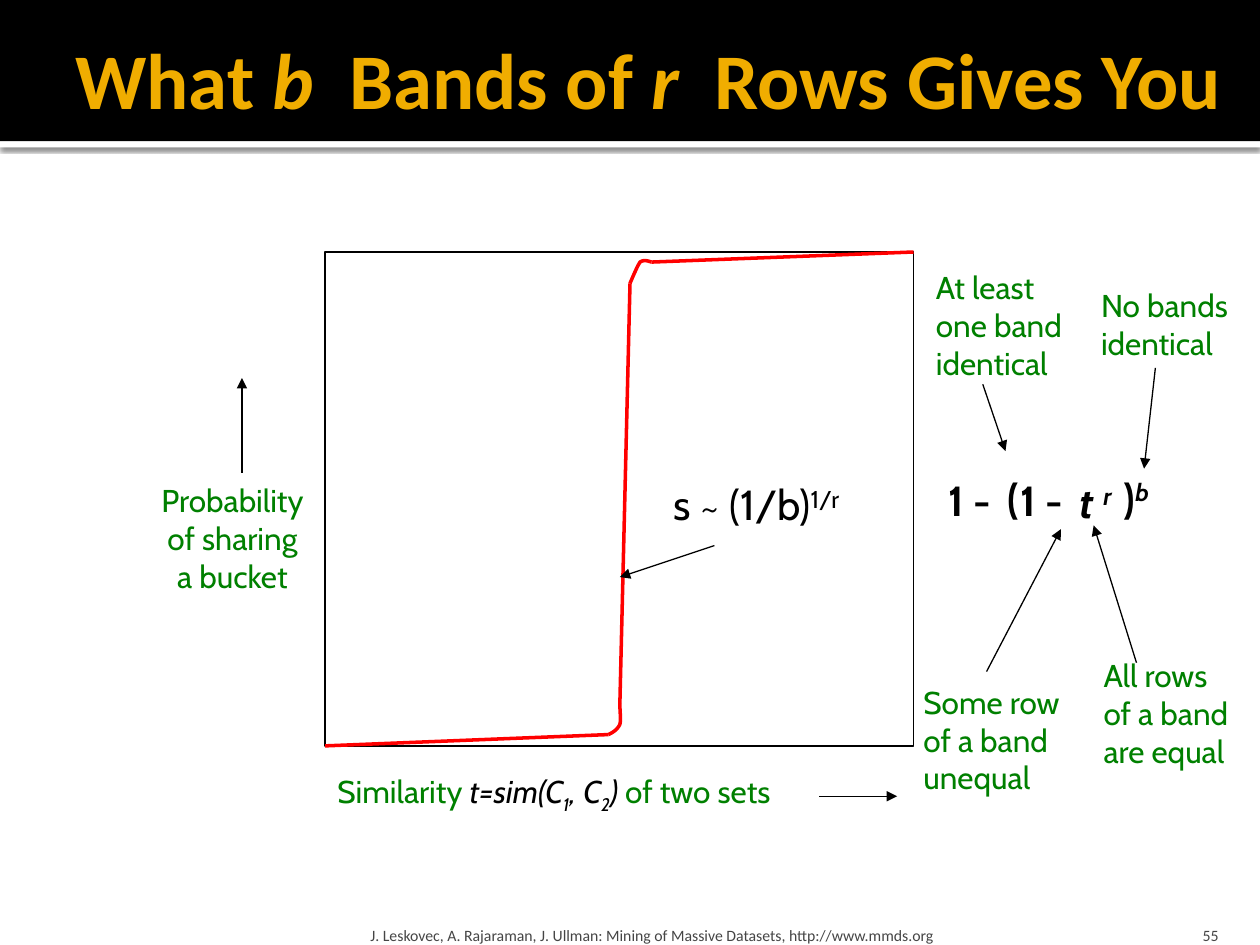
from dataclasses import dataclass, field

from lxml import etree
from pptx import Presentation
from pptx.dml.color import RGBColor
from pptx.enum.shapes import MSO_CONNECTOR, MSO_SHAPE
from pptx.enum.text import MSO_ANCHOR, MSO_AUTO_SIZE, PP_ALIGN
from pptx.oxml import parse_xml
from pptx.oxml.ns import nsdecls, qn
from pptx.util import Inches, Pt

RECTANGLE = MSO_SHAPE.RECTANGLE
STRAIGHT = MSO_CONNECTOR.STRAIGHT
TOP, MIDDLE, BOTTOM = MSO_ANCHOR.TOP, MSO_ANCHOR.MIDDLE, MSO_ANCHOR.BOTTOM
LEFT, CENTER, RIGHT = PP_ALIGN.LEFT, PP_ALIGN.CENTER, PP_ALIGN.RIGHT
FIT_TEXT = MSO_AUTO_SIZE.SHAPE_TO_FIT_TEXT
FIXED = MSO_AUTO_SIZE.NONE
BLACK, WHITE, RED = "000000", "FFFFFF", "FF0000"
GREEN, GOLD, GRAY = "008000", "F0AD00", "454545"

TITLE = {"name": "Calibri", "size": Pt(45), "bold": True, "color": GOLD}
FOOTER = {"name": "Calibri", "size": Pt(9), "color": GRAY}
NOTE = {"name": "Cabin", "size": Pt(18), "color": GREEN}
VARIABLE = NOTE | {"color": BLACK, "italic": True}
THRESHOLD = {"name": "Cabin", "size": Pt(24), "color": BLACK}
FORMULA = THRESHOLD | {"bold": True}
ITALIC = {"italic": True}
SUPER, SUB = {"baseline": 30}, {"baseline": -25}

Point = tuple[float, float]
Run = tuple[str, dict]


@dataclass
class Label:
    box: tuple[float, float, float, float]
    lines: list[list[Run]]
    align: PP_ALIGN = LEFT
    anchor: MSO_ANCHOR = TOP
    wrap: bool = False
    insets: tuple[float, float, float, float] = field(default=(0.1, 0.05, 0.1, 0.05))


def rgb(value: str) -> RGBColor:
    return RGBColor.from_string(value)


def style_run(run, formats: dict) -> None:
    for name, value in formats.items():
        if name == "color":
            run.font.color.rgb = rgb(value)
        elif name == "baseline":
            run.font._element.set("baseline", str(value * 1000))
        else:
            setattr(run.font, name, value)


def draw_label(slide, label: Label) -> None:
    frame = slide.shapes.add_textbox(*map(Inches, label.box)).text_frame
    left, top, right, bottom = map(Inches, label.insets)
    layout = {
        "word_wrap": label.wrap,
        "auto_size": FIXED if label.wrap else FIT_TEXT,
        "vertical_anchor": label.anchor,
        "margin_left": left,
        "margin_top": top,
        "margin_right": right,
        "margin_bottom": bottom,
    }
    for name, value in layout.items():
        setattr(frame, name, value)
    for index, runs in enumerate(label.lines):
        paragraph = frame.add_paragraph() if index else frame.paragraphs[0]
        paragraph.alignment = label.align
        for text, formats in runs:
            run = paragraph.add_run()
            run.text = text
            style_run(run, formats)


def draw_band(slide, top: float, height: float, color: str):
    band = slide.shapes.add_shape(RECTANGLE, *map(Inches, (0, top, 10, height)))
    band.shadow.inherit = False
    band.fill.solid()
    band.fill.fore_color.rgb = rgb(color)
    band.line.fill.background()
    return band


def cast_shadow(band) -> None:
    effects = band._element.spPr.find(qn("a:effectLst"))
    effects.append(parse_xml(
        f'<a:outerShdw {nsdecls("a")} blurRad="{Pt(2.5)}" dist="{Pt(0.8)}" dir="5400000">'
        f'<a:srgbClr val="{BLACK}"><a:alpha val="60000"/></a:srgbClr></a:outerShdw>'))


def outline(shape, color: str, width: float) -> None:
    shape.line.color.rgb = rgb(color)
    shape.line.width = Pt(width)


def draw_line(slide, start: Point, end: Point, color: str, width: float):
    line = slide.shapes.add_connector(STRAIGHT, *map(Inches, start + end))
    outline(line, color, width)
    etree.SubElement(line._element.spPr, qn("a:effectLst"))
    return line


def draw_arrow(slide, start: Point, end: Point) -> None:
    arrow = draw_line(slide, start, end, BLACK, 0.75)
    etree.SubElement(arrow.line._get_or_add_ln(), qn("a:tailEnd"), type="triangle")


def bezier(p0: Point, p1: Point, p2: Point, p3: Point, steps: int = 8) -> list[Point]:
    def at(t: float) -> Point:
        u = 1 - t
        weights = (u**3, 3 * u * u * t, 3 * u * t * t, t**3)
        x, y = (sum(w * c for w, c in zip(weights, axis)) for axis in zip(p0, p1, p2, p3))
        return x, y
    return [at(step / steps) for step in range(1, steps + 1)]


def draw_bend(slide, points: list[Point]) -> None:
    start, *rest = points
    vertices = bezier(*points[:4]) + bezier(*points[3:])
    builder = slide.shapes.build_freeform(Inches(start[0]), Inches(start[1]))
    builder.add_line_segments([(Inches(x), Inches(y)) for x, y in vertices], close=False)
    bend = builder.convert_to_shape()
    bend.shadow.inherit = False
    bend.fill.background()
    outline(bend, RED, 2)


def notes(*lines: str) -> list[list[Run]]:
    return [[(line, NOTE)] for line in lines]


LOWER_BEND = [(4.83, 5.83), (4.87, 5.81), (4.9, 5.79), (4.92, 5.75),
              (4.93, 5.71), (4.92, 5.65), (4.92, 5.58)]
UPPER_BEND = [(5, 2.25), (5.03, 2.18), (5.06, 2.11), (5.08, 2.08),
              (5.11, 2.06), (5.14, 2.07), (5.17, 2.08)]
CURVE_STRETCHES = [((2.58, 5.92), LOWER_BEND[0]), (LOWER_BEND[-1], UPPER_BEND[0]),
                   (UPPER_BEND[-1], (7.25, 2))]
ARROWS = [
    ((9.02, 5.26), (8.68, 4.17)),
    ((7.83, 5.33), (8.42, 4.2)),
    ((9.17, 2.92), (9.08, 3.72)),
    ((7.8, 3.05), (7.98, 3.58)),
    ((5.67, 4.33), (4.92, 4.58)),
    ((6.5, 6.32), (7.12, 6.32)),
    ((1.92, 3.75), (1.92, 3)),
]
LABELS = [
    Label((0.5, 0.08, 9.5, 1.08),
          [[("What ", TITLE), ("b", TITLE | ITALIC), ("  Bands of ", TITLE),
            ("r", TITLE | ITALIC), ("  Rows Gives You", TITLE)]],
          anchor=MIDDLE, wrap=True, insets=(0.1, 0.05, 0.05, 0.05)),
    Label((8.47, 3.73, 0.61, 0.51),
          [[("t ", FORMULA | ITALIC), ("r", FORMULA | ITALIC | SUPER)]]),
    Label((8.66, 5.16, 1.25, 1), notes("All rows", "of a band", "are equal")),
    Label((8, 3.72, 0.66, 0.51), [[("1 -", FORMULA)]]),
    Label((7.23, 5.37, 1.31, 1), notes("Some row", "of a band", "unequal")),
    Label((7.9, 3.7, 0.35, 0.51), [[("(", FORMULA)]]),
    Label((8.82, 3.7, 0.56, 0.51), [[(")", FORMULA), ("b", FORMULA | ITALIC | SUPER)]]),
    Label((8.64, 2.22, 1.24, 0.7), notes("No bands", "identical")),
    Label((7.43, 3.72, 0.66, 0.51), [[("1 -", FORMULA)]]),
    Label((7.33, 2.08, 1.23, 1), notes("At least", "one band", "identical")),
    Label((5.25, 3.75, 1.93, 0.51),
          [[("s ~ (1/b)", THRESHOLD), ("1/r", THRESHOLD | SUPER)]]),
    Label((8.97, 7.2, 0.8, 0.3), [[("55", FOOTER)]], RIGHT, BOTTOM, True,
          (0.1, 0.05, 0.1, 0)),
    Label((2.89, 7.2, 6.02, 0.3),
          [[("J. Leskovec, A. Rajaraman, J. Ullman: Mining of Massive Datasets, "
             "http://www.mmds.org", FOOTER)]],
          LEFT, BOTTOM, True, (0.05, 0.05, 0.05, 0)),
    Label((2.58, 6.08, 4, 0.4),
          [[("Similarity ", NOTE), ("t=sim(C", VARIABLE), ("1", VARIABLE | SUB),
            (", C", VARIABLE), ("2", VARIABLE | SUB), (")", VARIABLE),
            (" of two sets", NOTE)]], wrap=True),
    Label((1.17, 3.77, 1.35, 1), notes("Probability", "of sharing", "a bucket"), CENTER),
]


def main() -> None:
    deck = Presentation()
    deck.slide_width, deck.slide_height = Inches(10), Inches(7.5)
    slide = deck.slides.add_slide(deck.slide_layouts[6])
    cast_shadow(draw_band(slide, 1.12, 0.05, WHITE))
    draw_band(slide, 0, 1.12, BLACK)
    plot = slide.shapes.add_shape(RECTANGLE, *map(Inches, (2.58, 2, 4.67, 3.92)))
    plot.shadow.inherit = False
    plot.fill.background()
    outline(plot, BLACK, 0.75)
    for start, end in CURVE_STRETCHES:
        draw_line(slide, start, end, RED, 2)
    for bend in (LOWER_BEND, UPPER_BEND):
        draw_bend(slide, bend)
    for label in LABELS:
        draw_label(slide, label)
    for start, end in ARROWS:
        draw_arrow(slide, start, end)
    deck.save("out.pptx")


if __name__ == "__main__":
    main()
